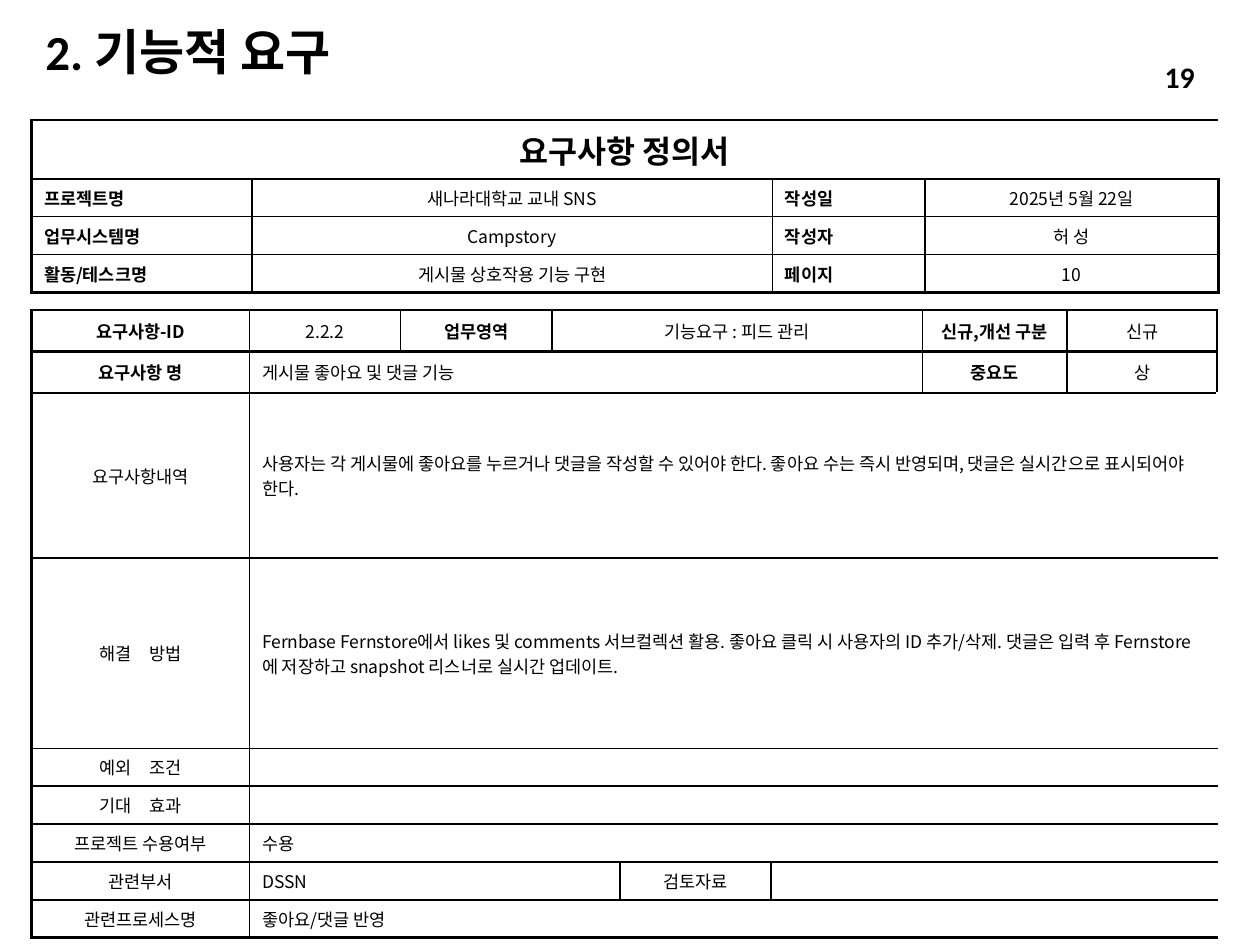
from dataclasses import dataclass

from lxml.etree import SubElement
from pptx import Presentation
from pptx.dml.color import RGBColor
from pptx.enum.text import MSO_ANCHOR, MSO_AUTO_SIZE, PP_ALIGN
from pptx.oxml.ns import qn
from pptx.util import Inches, Pt


@dataclass(frozen=True)
class Theme:
    ink: RGBColor = RGBColor(0, 0, 0)
    latin: str = "Calibri"
    korean: str = "Noto Sans CJK KR"
    title: int = 28
    number: int = 17
    heading: int = 18
    body: int = 10
    thin: float = 1
    thick: float = 1.5


@dataclass(frozen=True)
class Entry:
    text: str
    span: int = 1
    bold: bool = False
    align: PP_ALIGN = PP_ALIGN.CENTER
    size: int = 10


@dataclass(frozen=True)
class Form:
    left: float
    top: float
    columns: list[float]
    heights: list[float]
    rows: list[list[Entry]]
    thick_rules: set[int]  # horizontal rules, counted from the top edge


THEME = Theme()


def label(text: str) -> Entry:
    return Entry(text, bold=True)


def field(text: str) -> Entry:
    return Entry(text, bold=True, align=PP_ALIGN.JUSTIFY)


def detail(text: str, span: int = 7) -> Entry:
    return Entry(text, span, align=PP_ALIGN.LEFT)


def write(para, text: str, size: int, name: str, bold: bool, align) -> None:
    """Fill one paragraph with evenly formatted text."""
    para.alignment = align
    if not text:
        para._p.get_or_add_endParaRPr().set("sz", str(size * 100))
        return
    span = para.add_run()
    span.text = text
    for font in (para.font, span.font):
        font.name, font.size, font.bold = name, Pt(size), bold
        font.color.rgb = THEME.ink
    SubElement(span._r.get_or_add_rPr(), qn("a:ea"), typeface=THEME.korean)


def draw_edges(cell, edges: dict[str, float]) -> None:
    """Draw the given cell borders; schema order is left, right, top, bottom."""
    properties = cell._tc.get_or_add_tcPr()
    for position, (side, width) in enumerate(edges.items()):
        line = properties.makeelement(qn(f"a:ln{side}"), {"w": str(Pt(width))})
        fill = SubElement(line, qn("a:solidFill"))
        SubElement(fill, qn("a:srgbClr"), val=str(THEME.ink))
        properties.insert(position, line)


def add_form(page, form: Form) -> None:
    row_count, column_count = len(form.rows), len(form.columns)
    table = page.shapes.add_table(
        row_count, column_count, Inches(form.left), Inches(form.top),
        Inches(sum(form.columns)), Inches(sum(form.heights))).table
    table.first_row = table.horz_banding = False
    for column, width in zip(table.columns, form.columns):
        column.width = Inches(width)
    for row, height in zip(table.rows, form.heights):
        row.height = Inches(height)

    def rule(index: int, thick: set[int]) -> float:
        return THEME.thick if index in thick else THEME.thin

    for r, entries in enumerate(form.rows):
        start = 0
        for entry in entries:
            end = start + entry.span
            cell = table.cell(r, start)
            if entry.span > 1:
                cell.merge(table.cell(r, end - 1))
            cell.vertical_anchor = MSO_ANCHOR.MIDDLE
            para = cell.text_frame.paragraphs[0]
            para.space_before = Pt(entry.size * 0.2)
            write(para, entry.text, entry.size, THEME.korean, entry.bold, entry.align)
            # Rules run around the whole span
            for c in range(start, end):
                edges = {}
                if c == start:
                    edges["L"] = rule(c, {0})
                if c == end - 1:
                    edges["R"] = rule(end, {column_count})
                edges["T"] = rule(r, form.thick_rules)
                edges["B"] = rule(r + 1, form.thick_rules)
                table.cell(r, c).fill.background()
                draw_edges(table.cell(r, c), edges)
            start = end


SUMMARY = Form(
    0.25, 0.95, [1.75, 4.13, 1.21, 2.33], [0.47] + [0.3] * 3,
    [
        [Entry("요구사항 정의서", 4, True, size=THEME.heading)],
        [field("프로젝트명"), Entry("새나라대학교 교내 SNS"),
         field("작성일"), Entry("2025년 5월 22일")],
        [field("업무시스템명"), Entry("Campstory"), field("작성자"), Entry("허 성")],
        [field("활동/테스크명"), Entry("게시물 상호작용 기능 구현"),
         field("페이지"), Entry("10")],
    ],
    {0, 4})

REQUIREMENT = Form(
    0.25, 2.46, [1.73, 1.2, 1.2, 0.54, 1.2, 1.2, 1.15, 1.19],
    [0.33, 0.33, 1.31, 1.51] + [0.3] * 5,
    [
        [label("요구사항-ID"), Entry("2.2.2"), label("업무영역"),
         Entry("기능요구 : 피드 관리", 3), label("신규,개선 구분"), Entry("신규")],
        [label("요구사항 명"), detail("게시물 좋아요 및 댓글 기능", 5),
         label("중요도"), Entry("상")],
        [Entry("요구사항내역"),
         detail("사용자는 각 게시물에 좋아요를 누르거나 댓글을 작성할 수 있어야 한다. "
                "좋아요 수는 즉시 반영되며, 댓글은 실시간으로 표시되어야 한다.")],
        [Entry("해결　방법"),
         detail("Fernbase Fernstore에서 likes 및 comments 서브컬렉션 활용. "
                "좋아요 클릭 시 사용자의 ID 추가/삭제. 댓글은 입력 후 "
                "Fernstore에 저장하고 snapshot 리스너로 실시간 업데이트.")],
        [Entry("예외　조건"), detail("")],
        [Entry("기대　효과"), detail("")],
        [Entry("프로젝트 수용여부"), detail("수용")],
        [Entry("관련부서"), detail("DSSN", 3), Entry("검토자료"), detail("", 3)],
        [Entry("관련프로세스명"), detail("좋아요/댓글 반영")],
    ],
    {0, 1, 2, 9})


def main() -> None:
    deck = Presentation()
    deck.slide_width, deck.slide_height = Inches(10), Inches(7.5)
    page = deck.slides.add_slide(deck.slide_layouts[5])

    # Title
    title = page.shapes.title
    title.left, title.top = Inches(0.26), Inches(0.21)
    title.width, title.height = Inches(5.36), Inches(0.44)
    title.text_frame.auto_size = MSO_AUTO_SIZE.NONE
    title.text_frame.vertical_anchor = MSO_ANCHOR.MIDDLE
    para = title.text_frame.paragraphs[0]
    para.line_spacing = 0.9
    write(para, "2. 기능적 요구", THEME.title, THEME.latin, True, PP_ALIGN.LEFT)

    # Forms
    add_form(page, REQUIREMENT)
    add_form(page, SUMMARY)

    # Page number
    box = page.shapes.add_textbox(Inches(7.96), Inches(0.41), Inches(1.62), Inches(0.4))
    box.text_frame.word_wrap = True
    box.text_frame.vertical_anchor = MSO_ANCHOR.MIDDLE
    write(box.text_frame.paragraphs[0], "19", THEME.number, THEME.latin, True,
          PP_ALIGN.RIGHT)

    deck.save("out.pptx")


if __name__ == "__main__":
    main()
